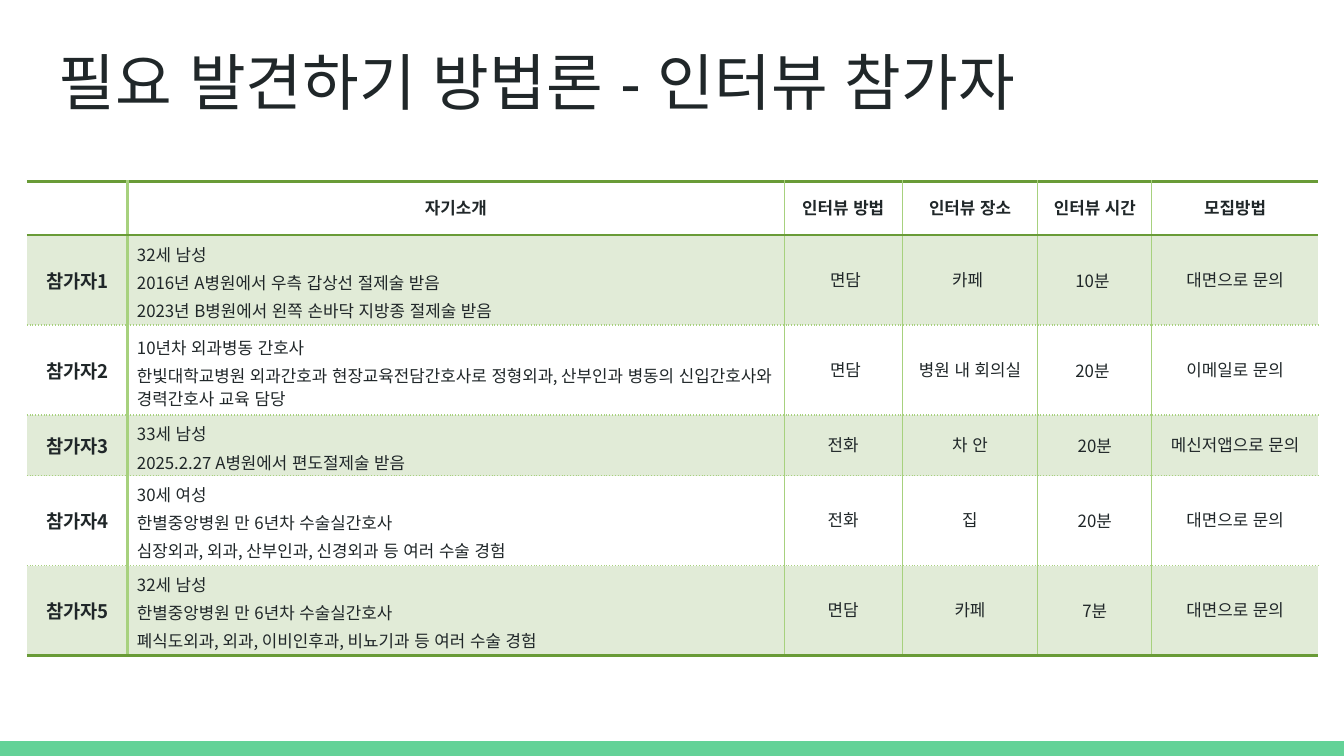
from lxml.etree import SubElement
from pptx import Presentation
from pptx.dml.color import RGBColor
from pptx.enum.shapes import MSO_SHAPE
from pptx.enum.text import MSO_ANCHOR, PP_ALIGN
from pptx.oxml.ns import qn
from pptx.util import Inches, Pt

INK = RGBColor(0x20, 0x27, 0x29)
WHITE = RGBColor(0xFF, 0xFF, 0xFF)
MINT = RGBColor(0x63, 0xD2, 0x97)
BAND = RGBColor(0xE1, 0xEB, 0xD7)
LIGHT_RULE = RGBColor(0xA7, 0xD1, 0x7E)
DARK_RULE = RGBColor(0x69, 0x9B, 0x37)
TITLE_FONT = "Arial"
TABLE_FONT = "Noto Sans CJK KR"
KOREAN_FONT = "Arial"

SLIDE_WIDTH = 10
SLIDE_HEIGHT = SLIDE_WIDTH * 9 / 16
COLUMN_WIDTHS = [0.75, 4.89, 0.88, 1.01, 0.85, 1.24]
ROW_HEIGHTS = [0.4, 0.67, 0.67, 0.45, 0.67, 0.67]
TITLE = "필요 발견하기 방법론 - 인터뷰 참가자"
HEADINGS = ["", "자기소개", "인터뷰 방법", "인터뷰 장소", "인터뷰 시간", "모집방법"]
PARTICIPANTS = [
    ["참가자1",
     ["32세 남성", "2016년 A병원에서 우측 갑상선 절제술 받음",
      "2023년 B병원에서 왼쪽 손바닥 지방종 절제술 받음"],
     " 면담", "카페 ", "10분 ", "대면으로 문의"],
    ["참가자2",
     ["10년차 외과병동 간호사",
      "한빛대학교병원 외과간호과 현장교육전담간호사로 정형외과, "
      "산부인과 병동의 신입간호사와 경력간호사 교육 담당"],
     " 면담", "병원 내 회의실", "20분 ", "이메일로 문의"],
    ["참가자3",
     ["33세 남성", "2025.2.27 A병원에서 편도절제술 받음"],
     "전화", "차 안", "20분", "메신저앱으로 문의"],
    ["참가자4",
     ["30세 여성", "한별중앙병원 만 6년차 수술실간호사",
      "심장외과, 외과, 산부인과, 신경외과 등 여러 수술 경험"],
     "전화", "집", "20분", "대면으로 문의"],
    ["참가자5",
     ["32세 남성", "한별중앙병원 만 6년차 수술실간호사",
      "폐식도외과, 외과, 이비인후과, 비뇨기과 등 여러 수술 경험"],
     "면담", "카페", "7분", "대면으로 문의"],
]


def add_run(paragraph, wording, font_name, size, bold=False):
    """Add one styled run with its Latin and Korean fonts."""
    run = paragraph.add_run()
    run.text = wording
    run.font.name = font_name
    run.font.size = Pt(size)
    run.font.bold = bold
    run.font.color.rgb = INK
    SubElement(run.font._element, qn("a:ea"), typeface=KOREAN_FONT)


def draw_footer_bar(slide, left, top, width, height):
    """Draw the mint bar in the given box."""
    bar = slide.shapes.add_shape(
        MSO_SHAPE.RECTANGLE, Inches(left), Inches(top), Inches(width), Inches(height))
    bar.shadow.inherit = False
    bar.fill.solid()
    bar.fill.fore_color.rgb = MINT
    bar.line.fill.background()


def draw_title(slide, left, top, width, height):
    """Write the slide title in the given box."""
    title = slide.shapes.add_textbox(
        Inches(left), Inches(top), Inches(width), Inches(height))
    frame = title.text_frame
    frame.word_wrap = True
    frame.margin_left = frame.margin_right = Inches(0.1)
    frame.margin_top = frame.margin_bottom = Inches(0.1)
    add_run(frame.paragraphs[0], TITLE, TITLE_FONT, 33)


def add_border(cell, side, rule):
    """Draw one cell side from a (colour, width, dash) rule, or hide it for None."""
    properties = cell._tc.get_or_add_tcPr()
    line = SubElement(properties, qn(f"a:ln{side}"))
    if rule is None:
        SubElement(line, qn("a:noFill"))
        return
    color, width, dash = rule
    line.set("w", str(Pt(width)))
    fill = SubElement(line, qn("a:solidFill"))
    SubElement(fill, qn("a:srgbClr"), val=str(color))
    SubElement(line, qn("a:prstDash"), val=dash)


def column_rule(edge):
    """Return the vertical rule at a column edge."""
    if edge in (0, len(COLUMN_WIDTHS)):
        return None
    return LIGHT_RULE, 1.5 if edge == 1 else 0.5, "solid"


def row_rule(edge):
    """Return the horizontal rule at a row edge."""
    if edge in (0, 1, len(ROW_HEIGHTS)):
        return DARK_RULE, 1.5, "solid"
    return LIGHT_RULE, 1, "dot"


def fill_cell(cell, row, column, content):
    """Write, fill and border one cell according to its place in the grid."""
    cell.vertical_anchor = MSO_ANCHOR.MIDDLE
    cell.margin_left = cell.margin_right = Inches(0.07)
    cell.margin_top = cell.margin_bottom = Inches(0.02)
    is_introduction = isinstance(content, list)
    is_label = row > 0 and column == 0
    size = 10 if is_label else 9
    frame = cell.text_frame
    for index, wording in enumerate(content if is_introduction else [content]):
        paragraph = frame.add_paragraph() if index else frame.paragraphs[0]
        paragraph.font.size = Pt(size)
        if is_introduction:
            paragraph.line_spacing = 1.15
        else:
            paragraph.alignment = PP_ALIGN.CENTER
            spacing = 7 if row in (1, 2) and column > 1 else 12
            paragraph.space_before = paragraph.space_after = Pt(spacing)
        if wording:
            add_run(paragraph, wording, TABLE_FONT, size, row == 0 or is_label)
    add_border(cell, "L", column_rule(column))
    add_border(cell, "R", column_rule(column + 1))
    add_border(cell, "T", row_rule(row))
    add_border(cell, "B", row_rule(row + 1))
    cell.fill.solid()
    cell.fill.fore_color.rgb = BAND if row % 2 else WHITE


def draw_participant_table(slide, left, top, width, height):
    """Build the participant table in the given box."""
    contents = [HEADINGS, *PARTICIPANTS]
    table = slide.shapes.add_table(
        len(contents), len(HEADINGS),
        Inches(left), Inches(top), Inches(width), Inches(height)).table
    table.first_row = table.horz_banding = False
    for column, share in zip(table.columns, COLUMN_WIDTHS):
        column.width = Inches(width * share / sum(COLUMN_WIDTHS))
    for row, entries in enumerate(contents):
        table.rows[row].height = Inches(height * ROW_HEIGHTS[row] / sum(ROW_HEIGHTS))
        for column, content in enumerate(entries):
            fill_cell(table.cell(row, column), row, column, content)


def main():
    """Build and save the slide."""
    presentation = Presentation()
    presentation.slide_width = Inches(SLIDE_WIDTH)
    presentation.slide_height = Inches(SLIDE_HEIGHT)
    slide = presentation.slides.add_slide(presentation.slide_layouts[6])
    bar_height = 0.11
    draw_footer_bar(slide, 0, SLIDE_HEIGHT - bar_height, SLIDE_WIDTH, bar_height)
    title_margin = 0.34
    draw_title(slide, title_margin, 0.23, SLIDE_WIDTH - 2 * title_margin, 0.63)
    draw_participant_table(slide, 0.2, 1.35, 9.61, sum(ROW_HEIGHTS))
    presentation.save("out.pptx")


if __name__ == "__main__":
    main()
